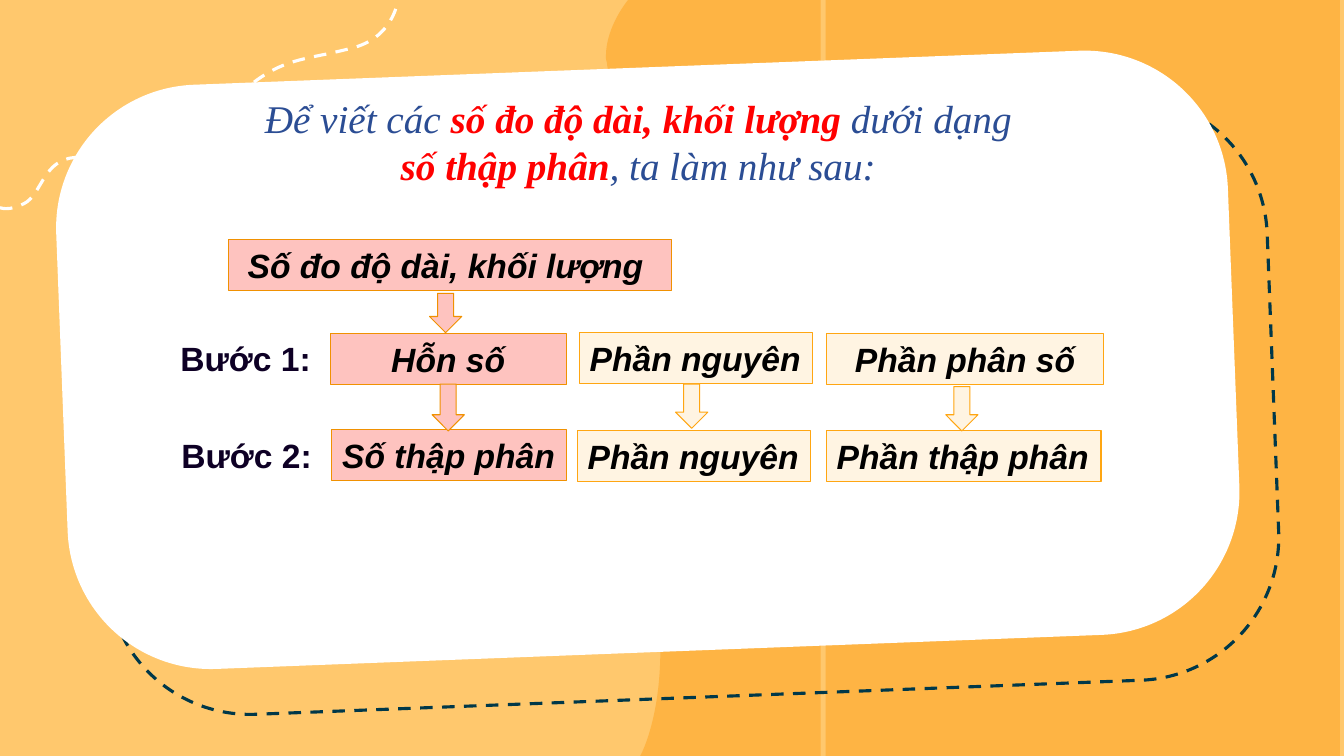
from typing import NamedTuple

from lxml.etree import SubElement
from pptx import Presentation
from pptx.dml.color import RGBColor
from pptx.enum.dml import MSO_LINE as Dash
from pptx.enum.shapes import MSO_SHAPE as Kind
from pptx.enum.text import MSO_ANCHOR as Anchor, MSO_AUTO_SIZE as Auto, PP_ALIGN as Align
from pptx.oxml.ns import qn
from pptx.util import Inches, Pt

CELL = Inches(0.1)  # grid step; every length below counts cells
Point = tuple[float, float]
Leg = tuple[Point, ...]  # one point: straight; three points: cubic curve


class Tone(NamedTuple):
    fill: str
    line: str


class Box(NamedTuple):
    text: str
    left: float
    top: float
    width: float
    tone: Tone
    align: Align = Align.CENTER
    wrap: bool = True


class Arrow(NamedTuple):
    left: float
    top: float
    height: float
    tone: Tone


class Label(NamedTuple):
    text: str
    left: float
    top: float


class Part(NamedTuple):
    text: str
    key: bool


PINK = Tone("FEC3BF", "F09101")
CREAM = Tone("FFF4E2", "FFA612")
ORANGE, WHITE, NAVY, BLACK = "FEB444", "FFFFFF", "003849", "000000"

BOXES = [
    Box("Số đo độ dài, khối lượng ", 22.7, 23.75, 43.9, PINK),
    Box("Phần nguyên", 57.5, 33, 23.1, CREAM, Align.LEFT, False),
    Box("Phần phân số", 82, 33.05, 27.45, CREAM),
    Box("Phần nguyên", 57.3, 42.7, 23.1, CREAM, Align.LEFT, False),
    Box("Phần thập phân", 82, 42.7, 27.2, CREAM, Align.LEFT, False),
    Box("Hỗn số", 32.75, 33.05, 23.4, PINK),
    Box("Số thập phân", 32.85, 42.6, 23.3, PINK, Align.CENTER, False),
]
ARROWS = [
    Arrow(67, 38.1, 4.4, CREAM),
    Arrow(93.8, 38.35, 4.4, CREAM),
    Arrow(42.6, 29.1, 3.9, PINK),
    Arrow(42.85, 38.1, 4.65, PINK),
]
LABELS = [Label("Bước 1:", 16.9, 33.05), Label("Bước 2:", 17, 42.65)]
TITLE = [
    Part("Để viết các ", False),
    Part("số đo độ dài, khối lượng ", True),
    Part("dưới dạng ", False),
    Part("số thập phân", True),
    Part(", ta làm như sau:", False),
]
BLOB: list[Leg] = [
    ((57, 44.5), (65.2, 54.9), (65.4, 62.9)),
    ((65.5, 63.5), (65.5, 64), (65.5, 64.4)),
    ((65.5, 71.5), (63.5, 75), (63.5, 75)),
    ((81.4, 75),),
    ((81.4, 0),),
    ((62.3, 0),),
    ((62.3, 0), (60.1, 2.6), (60.1, 5.6)),
    ((60.1, 5.8), (60.1, 6), (60.2, 6.2)),
    ((60.5, 9.5), (63.1, 12.4), (63.9, 18.4)),
    ((64, 18.7), (64, 19), (64, 19.3)),
    ((64, 24.8), (57, 29.3), (57, 36.7)),
]
WAVE: list[Leg] = [
    ((0, 20.6), (0.2, 20.7), (0.6, 20.7)),
    ((1.1, 20.7), (1.6, 20.6), (2.4, 20.2)),
    ((4.1, 19.3), (4.2, 16.3), (6.9, 15.7)),
    ((7.1, 15.7), (7.4, 15.6), (7.7, 15.6)),
    ((10, 15.6), (13.7, 17.1), (17.1, 17.1)),
    ((18, 17.1), (18.8, 17), (19.6, 16.8)),
    ((24, 15.5), (22.3, 10.2), (25.4, 8)),
    ((28.6, 5.7), (30.6, 5.9), (34.8, 4.8)),
    ((39, 3.8), (39.4, 0.2), (39.5, 0)),
]


def rgb(code: str) -> RGBColor:
    return RGBColor.from_string(code)


def cells(*counts: float) -> list[int]:
    return [round(n * CELL) for n in counts]


def paint(shape, fill: str | None, line: str | None, width: float = 0.75, dash: bool = False) -> None:
    shape.shadow.inherit = False
    if fill:
        shape.fill.solid()
        shape.fill.fore_color.rgb = rgb(fill)
    else:
        shape.fill.background()
    if line:
        shape.line.color.rgb = rgb(line)
        shape.line.width = Pt(width)
        if dash:
            shape.line.dash_style = Dash.DASH
    else:
        shape.line.fill.background()


def place(slide, kind: Kind, left: float, top: float, width: float, height: float):
    return slide.shapes.add_shape(kind, *cells(left, top, width, height))


def trace(slide, start: Point, legs: list[Leg], close: bool):
    """Build an outline, then join each three-point leg into one cubic curve."""
    pen = slide.shapes.build_freeform(*cells(*start))
    pen.add_line_segments([cells(*point) for leg in legs for point in leg], close=close)
    shape = pen.convert_to_shape()
    lines = iter(list(shape.element.iter(qn("a:lnTo"))))
    for leg in legs:
        first, *rest = [next(lines) for _ in leg]
        if rest:
            first.tag = qn("a:cubicBezTo")
            for line in rest:
                first.append(line[0])
                line.getparent().remove(line)
    return shape


def write(shape, text: str, color: str, italic: bool, align: Align, wrap: bool) -> None:
    frame = shape.text_frame
    frame.word_wrap, frame.auto_size = wrap, Auto.SHAPE_TO_FIT_TEXT
    para = frame.paragraphs[0]
    para.text = text
    para.alignment = align
    font = para.font
    font.name, font.size, font.bold, font.italic = "Arial", Pt(24), True, italic
    font.color.rgb = rgb(color)


def scene(slide) -> None:
    slide.background.fill.solid()
    slide.background.fill.fore_color.rgb = rgb("FFC86D")
    paint(trace(slide, (57, 36.7), BLOB, True), ORANGE, None)
    paint(place(slide, Kind.RECTANGLE, 81.9, 0, 51, 75), ORANGE, None)
    paint(trace(slide, (0, 20.6), WAVE, False), None, WHITE, 2.25, True)
    for left, top, fill, line in ((10, 11.2, None, NAVY), (6.1, 6.7, WHITE, None)):
        card = place(slide, Kind.ROUNDED_RECTANGLE, left, top, 116.3, 58)
        card.adjustments[0] = 0.245
        card.rotation = 357.8
        paint(card, fill, line, 2.25, True)


def head(slide) -> None:
    title = slide.shapes.title
    title.left, title.top, title.width, title.height = cells(24.5, 8.85, 77.6, 10.4)
    title.element.getparent().append(title.element)  # bring to front
    frame = title.text_frame
    frame.word_wrap, frame.auto_size = True, Auto.NONE
    frame.vertical_anchor = Anchor.TOP
    para = frame.paragraphs[0]
    para.alignment, para.line_spacing = Align.CENTER, 1.0
    para.font.name, para.font.size, para.font.italic = "Times New Roman", Pt(28), True
    for part in TITLE:
        run = para.add_run()
        run.text = part.text
        run.font.bold = part.key
        run.font.color.rgb = rgb("FF0000" if part.key else "2B4D94")
        props = run._r.get_or_add_rPr()
        edge = SubElement(props, qn("a:ln"), w=str(Pt(0.75)))
        fill = SubElement(edge, qn("a:solidFill"))
        SubElement(fill, qn("a:srgbClr"), val="C00000" if part.key else "002060")
        props.insert(0, edge)


def steps(slide) -> None:
    for box in BOXES:
        shape = place(slide, Kind.RECTANGLE, box.left, box.top, box.width, 5.05)
        paint(shape, *box.tone)
        write(shape, box.text, BLACK, True, box.align, box.wrap)
    for arrow in ARROWS:
        paint(place(slide, Kind.DOWN_ARROW, arrow.left, arrow.top, 3.2, arrow.height), *arrow.tone)
    for label in LABELS:
        shape = slide.shapes.add_textbox(*cells(label.left, label.top, 16.5, 5.05))
        write(shape, label.text, "0E0025", False, Align.LEFT, True)


def main() -> None:
    deck = Presentation()
    deck.slide_width, deck.slide_height = Inches(13.33), Inches(7.5)
    slide = deck.slides.add_slide(deck.slide_layouts[5])
    scene(slide)
    steps(slide)
    head(slide)
    deck.save("out.pptx")


if __name__ == "__main__":
    main()
